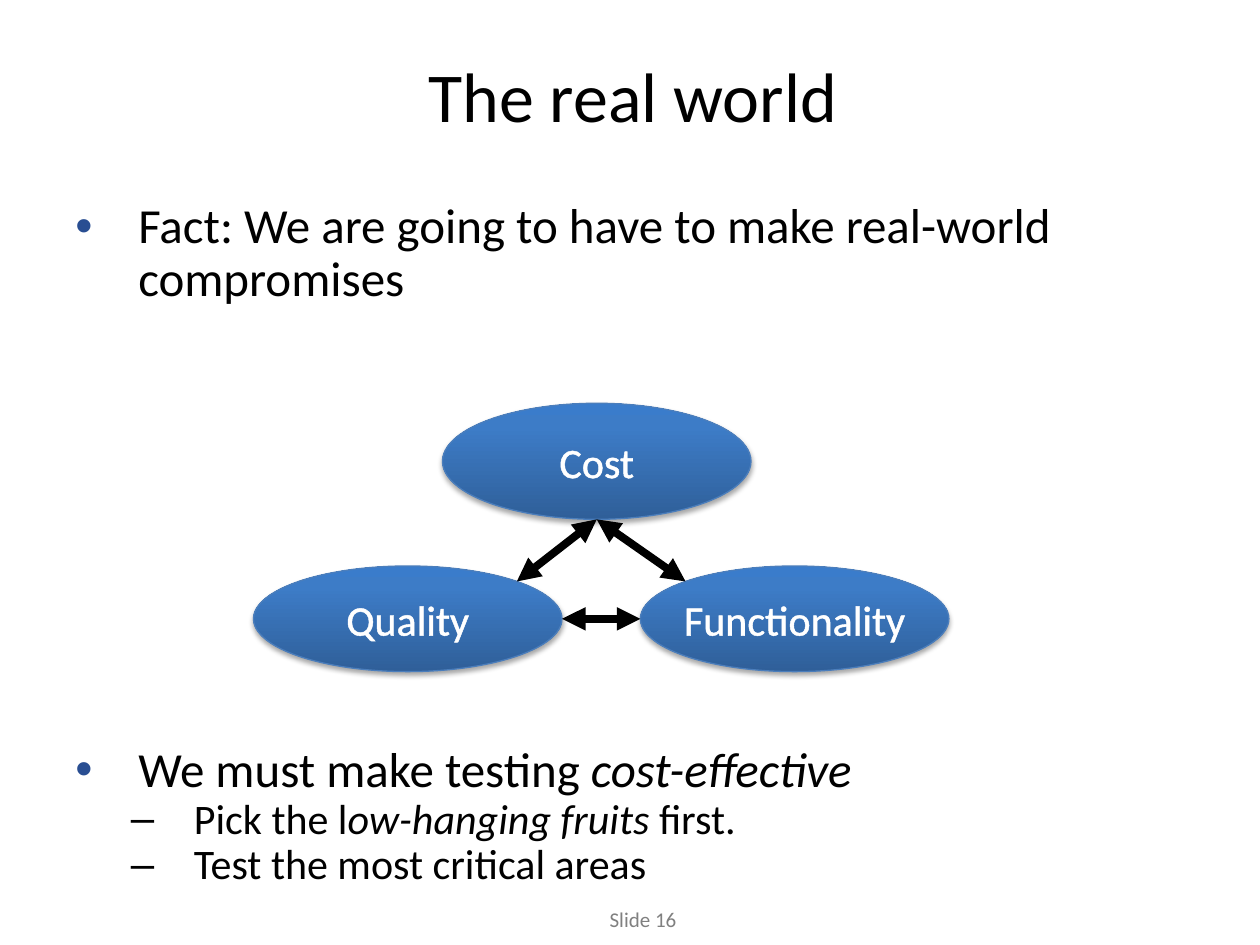
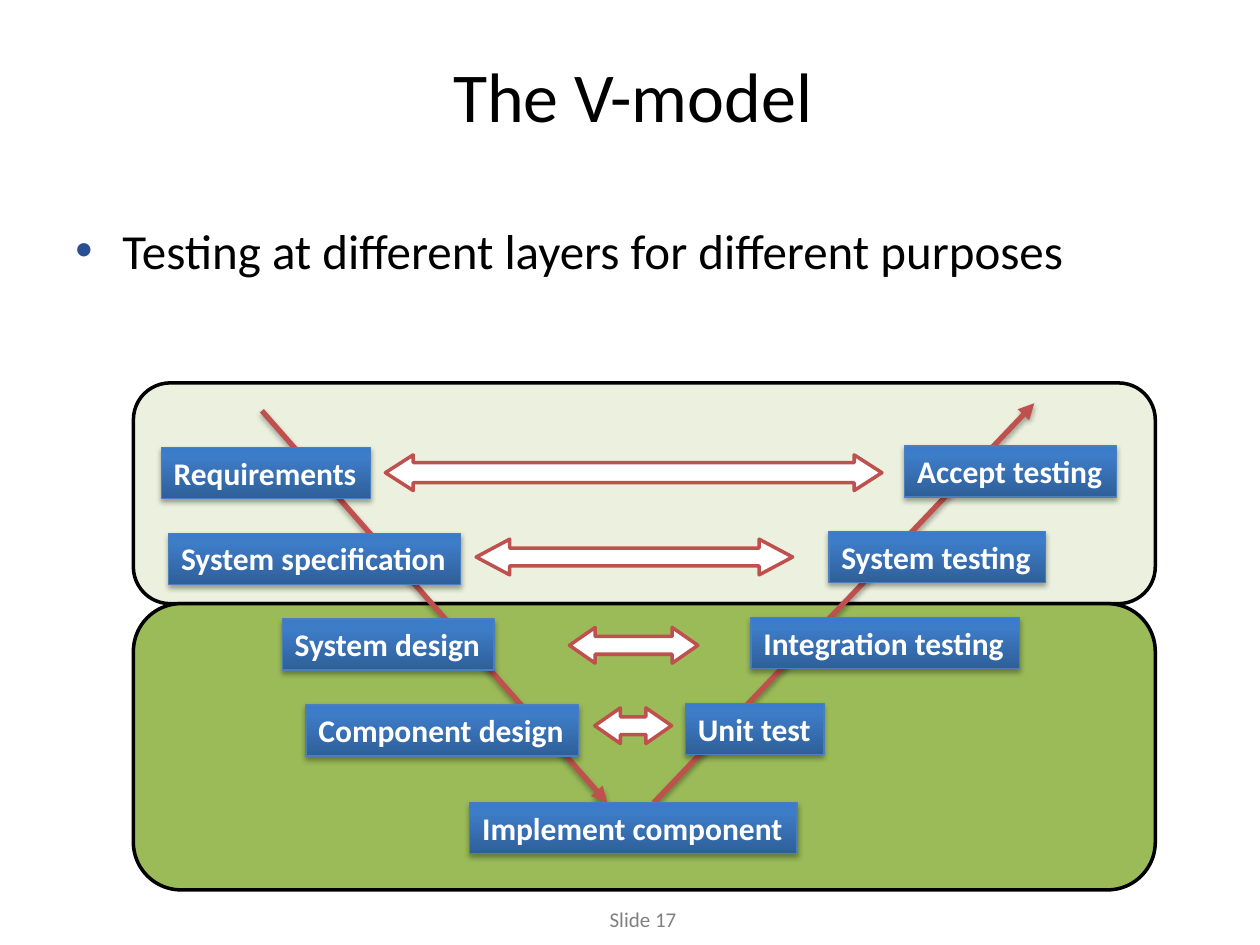
import pptx
import pptx.util
import pptx.dml.color
import pptx.enum.shapes
import pptx.enum.text
import pptx.oxml
import pptx.oxml.ns
from lxml import etree

Cm, Pt = pptx.util.Cm, pptx.util.Pt
RGBColor = pptx.dml.color.RGBColor
SHAPE = pptx.enum.shapes.MSO_SHAPE
ANCHOR = pptx.enum.text.MSO_ANCHOR
ALIGN = pptx.enum.text.PP_ALIGN
qn = pptx.oxml.ns.qn

BLACK = RGBColor(0x00, 0x00, 0x00)
WHITE = RGBColor(0xFF, 0xFF, 0xFF)
FOOTER_GREY = RGBColor(0x80, 0x80, 0x80)
BULLET_BLUE = RGBColor(0x29, 0x4E, 0x92)
NODE_EDGE = RGBColor(0x4B, 0x7E, 0xBC)
NODE_DARK = RGBColor(0x2F, 0x5F, 0x99)
NODE_MID = RGBColor(0x3D, 0x7C, 0xC7)
NODE_LIGHT = RGBColor(0x3A, 0x7C, 0xCB)
RED = RGBColor(0xC0, 0x50, 0x4D)
PALE_GREEN = RGBColor(0xEB, 0xF1, 0xDE)
GREEN = RGBColor(0x9B, 0xBB, 0x59)
FONT = "Calibri"


# Shared formatting
def add_xml(parent, tag, **attributes):
    child = etree.SubElement(parent, qn(tag))
    for key, value in attributes.items():
        child.set(key, str(value))
    return child


def add_run(paragraph, text, size, color, bold=False, italic=False):
    run = paragraph.add_run()
    run.text = text
    run.font.name, run.font.size = FONT, Pt(size)
    run.font.bold, run.font.italic = bold, italic
    run.font.color.rgb = color
    return run


def add_shadow(effects):
    shadow = add_xml(effects, "a:outerShdw", blurRad=Pt(3.1), dist=Pt(1.8),
                     dir=5400000, rotWithShape=0)
    add_xml(add_xml(shadow, "a:srgbClr", val=BLACK), "a:alpha", val=35000)


def add_box(slide, kind, box, fill, edge, width):
    shape = slide.shapes.add_shape(kind, *(Cm(v) for v in box))
    shape.shadow.inherit = False
    if fill is not None:
        shape.fill.solid()
        shape.fill.fore_color.rgb = fill
    shape.line.color.rgb, shape.line.width = edge, Pt(width)
    return shape


def add_node(slide, kind, box, text, size, bold, align, anchor):
    """Blue gradient shape with a soft shadow and one line of white text."""
    node = add_box(slide, kind, box, None, NODE_EDGE, 0.75)
    node.fill.gradient()
    node.fill.gradient_angle = 90
    properties = node.element.spPr
    stops = properties.find(".//" + qn("a:gsLst"))
    for stop in list(stops):
        stops.remove(stop)
    for position, color in ((0, NODE_DARK), (80, NODE_MID), (100, NODE_LIGHT)):
        stop = add_xml(stops, "a:gs", pos=position * 1000)
        add_xml(stop, "a:srgbClr", val=color)
    add_shadow(properties.find(qn("a:effectLst")))
    frame = node.text_frame
    frame.word_wrap, frame.vertical_anchor = False, anchor
    paragraph = frame.paragraphs[0]
    paragraph.alignment = align
    return add_run(paragraph, text, size, WHITE, bold)


def add_arrow(slide, start, end, color, width, both_ends=False, shadow=False):
    arrow = slide.shapes.add_connector(
        pptx.enum.shapes.MSO_CONNECTOR.STRAIGHT, *(Cm(v) for v in start + end))
    arrow.line.color.rgb, arrow.line.width = color, Pt(width)
    line = arrow.line._get_or_add_ln()
    if both_ends:
        add_xml(line, "a:headEnd", type="triangle")
    add_xml(line, "a:tailEnd", type="triangle")
    effects = add_xml(arrow.element.spPr, "a:effectLst")
    if shadow:
        add_shadow(effects)


def add_text_box(slide, box, wrap=True):
    frame = slide.shapes.add_textbox(*(Cm(v) for v in box)).text_frame
    frame.word_wrap = wrap
    return frame


def add_bullets(slide, box, items, spacing=0.9, before=0):
    """Each item is (mark, left indent, hanging, size, colour of mark, runs)."""
    frame = add_text_box(slide, box)
    for index, (mark, left, hanging, size, color, runs) in enumerate(items):
        paragraph = frame.add_paragraph() if index else frame.paragraphs[0]
        paragraph.line_spacing, paragraph.space_before = spacing, Pt(before)
        properties = paragraph._p.get_or_add_pPr()
        properties.set("marL", str(Cm(left)))
        properties.set("indent", str(-Cm(hanging)))
        add_xml(add_xml(properties, "a:buClr"), "a:srgbClr", val=color)
        add_xml(properties, "a:buFont", typeface="Arial")
        add_xml(properties, "a:buChar", char=mark)
        for text, italic in runs:
            add_run(paragraph, text, size, BLACK, italic=italic)


def start_slide(deck, title, number):
    slide = deck.slides.add_slide(deck.slide_layouts[5])
    heading = slide.shapes.title
    heading.left, heading.top = Cm(1.3), Cm(0.69)
    heading.width, heading.height = Cm(22.91), Cm(2.44)
    heading.text_frame.vertical_anchor = ANCHOR.MIDDLE
    paragraph = heading.text_frame.paragraphs[0]
    paragraph.alignment = ALIGN.CENTER
    add_run(paragraph, title, 40, BLACK)
    footer = add_text_box(slide, (12.04, 18.16, 1.96, 0.76), wrap=False)
    add_run(footer.paragraphs[0], f"Slide {number}", 12, FOOTER_GREY)
    return slide


# Slide: the real world
def draw_tradeoff_triangle(slide, left, top):
    width, cost_height, base_height = 6.22, 2.34, 2.13
    base_top = top + 3.28
    cost_left, functionality_left = left + 3.81, left + 7.8
    for text, x, y, height in (
            ("Functionality", functionality_left, base_top, base_height),
            ("Cost", cost_left, top, cost_height),
            ("Quality", left, base_top, base_height)):
        run = add_node(slide, SHAPE.OVAL, (x, y, width, height), text, 24,
                       False, ALIGN.CENTER, ANCHOR.MIDDLE)
        outline = pptx.oxml.parse_xml(
            f'<a:ln xmlns:a="{pptx.oxml.ns.nsuri("a")}" w="{Pt(0.75)}">'
            f'<a:solidFill><a:srgbClr val="{WHITE}"/></a:solidFill></a:ln>')
        run.font._element.insert(0, outline)

    # Arrows meet the ovals at their sides and at 45 degrees
    corner = (1 - 0.5 ** 0.5) / 2
    corner_y = base_top + corner * base_height
    middle_y = base_top + base_height / 2
    cost_bottom = (cost_left + width / 2, top + cost_height)
    for start, end in (
            (cost_bottom, (functionality_left + corner * width, corner_y)),
            ((functionality_left, middle_y), (left + width, middle_y)),
            (cost_bottom, (left + (1 - corner) * width, corner_y))):
        add_arrow(slide, start, end, BLACK, 4.5, both_ends=True)


def build_real_world(deck):
    slide = start_slide(deck, "The real world", 16)
    add_bullets(slide, (1.27, 3.94, 23.24, 2.5), [
        ("•", 1.27, 1.27, 28, BULLET_BLUE,
         [("Fact: We are going to have to make real-world compromises", False)])])
    draw_tradeoff_triangle(slide, 5.11, 8.13)
    add_bullets(slide, (1.27, 14.9, 23.24, 3.2), [
        ("•", 1.27, 1.27, 28, BULLET_BLUE,
         [("We must make testing ", False), ("cost-effective", True)]),
        ("–", 2.39, 1.27, 24, BLACK,
         [("Pick the l", False), ("ow-hanging fruits ", True), ("first.", False)]),
        ("–", 2.39, 1.27, 24, BLACK,
         [("Test the most critical areas", False)])])


# Slide: the V-model
def draw_v_model(slide, left, top, width):
    # Upper and lower layers
    upper, lower = 4.45, 5.77
    for y, height, color in ((top, upper, PALE_GREEN), (top + upper, lower, GREEN)):
        add_box(slide, SHAPE.ROUNDED_RECTANGLE, (left, y, width, height),
                color, BLACK, 2)

    # Legs of the V
    for x1, y1, x2, y2 in ((2.59, 0.56, 9.55, 8.46), (10.49, 8.46, 18.16, 0.41)):
        add_arrow(slide, (left + x1, top + y1), (left + x2, top + y2), RED, 3,
                  shadow=True)

    # Stages: (text, left, width), from the top row down
    design = (("Requirements", 0.56, 4.22), ("System specification", 0.71, 5.89),
              ("System design", 3.0, 4.27), ("Component design", 3.48, 5.49))
    testing = (("Accept testing", 15.55, 4.27), ("System testing", 14.02, 4.37),
               ("Integration testing", 12.45, 5.41), ("Unit test", 11.13, 2.79))
    stages = [(text, x, first + 1.73 * row, w)
              for leg, first in ((design, 1.3), (testing, 1.27))
              for row, (text, x, w) in enumerate(leg)]
    stages.append(("Implement component", 6.78, 8.46, 6.6))
    for text, x, y, w in stages:
        add_node(slide, SHAPE.RECTANGLE, (left + x, top + y, w, 1.03), text, 18,
                 True, ALIGN.LEFT, ANCHOR.TOP)

    # Links between matching stages
    for x, y, w, shaft, head in (
            (5.08, 1.45, 10.01, 0.56, 0.78), (6.91, 3.15, 6.38, 0.5, 0.94),
            (8.79, 4.93, 2.59, 0.5, 0.72), (9.3, 6.55, 1.55, 0.5, 0.72)):
        link = add_box(slide, SHAPE.LEFT_RIGHT_ARROW,
                       (left + x, top + y, w, 0.72), WHITE, RED, 2)
        link.adjustments[0], link.adjustments[1] = shaft, head


def build_v_model(deck):
    slide = start_slide(deck, "The V-model", 17)
    draw_v_model(slide, 2.69, 7.72, 20.6)
    add_bullets(slide, (1.27, 4.32, 22.86, 1.7), [
        ("•", 0.95, 0.95, 28, BULLET_BLUE,
         [("Testing at different layers for different purposes", False)])],
        spacing=1.0, before=5.6)


def main():
    deck = pptx.Presentation()
    deck.slide_width, deck.slide_height = Cm(25.4), Cm(19.05)
    build_real_world(deck)
    build_v_model(deck)
    deck.save("out.pptx")


if __name__ == "__main__":
    main()
